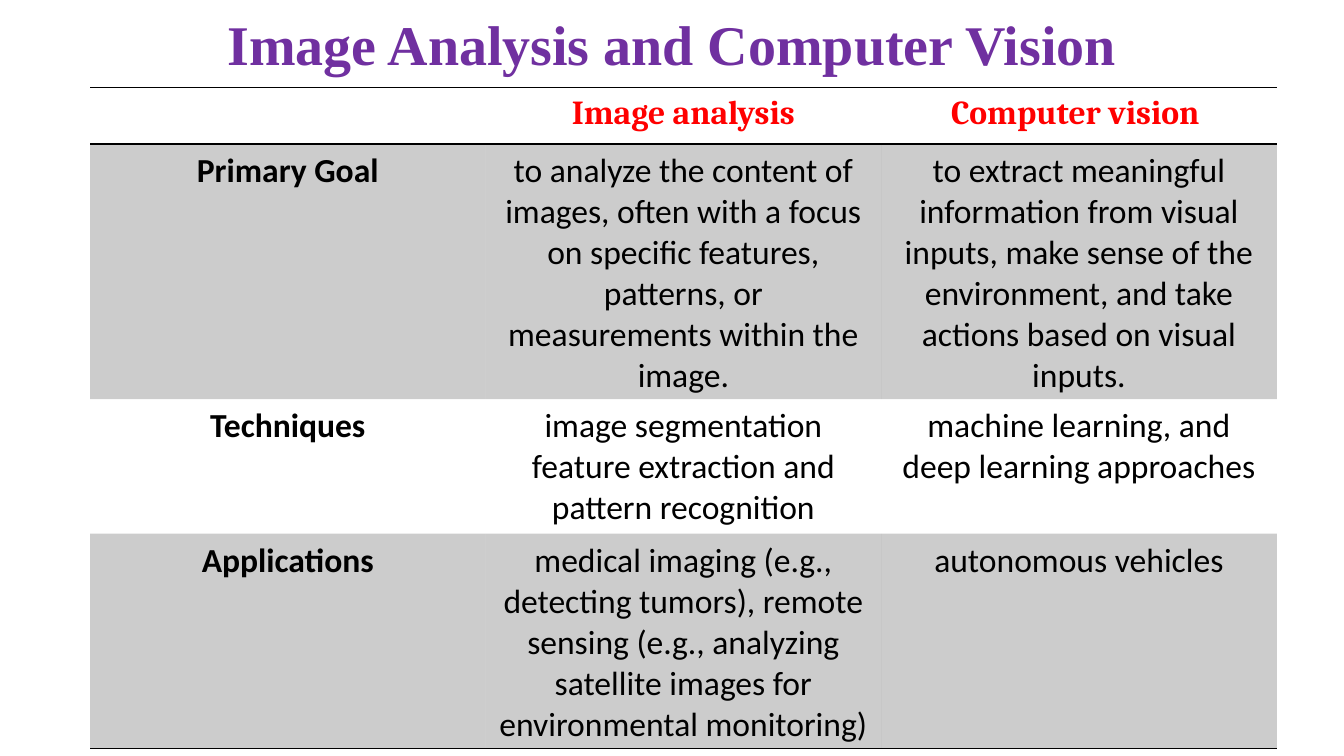
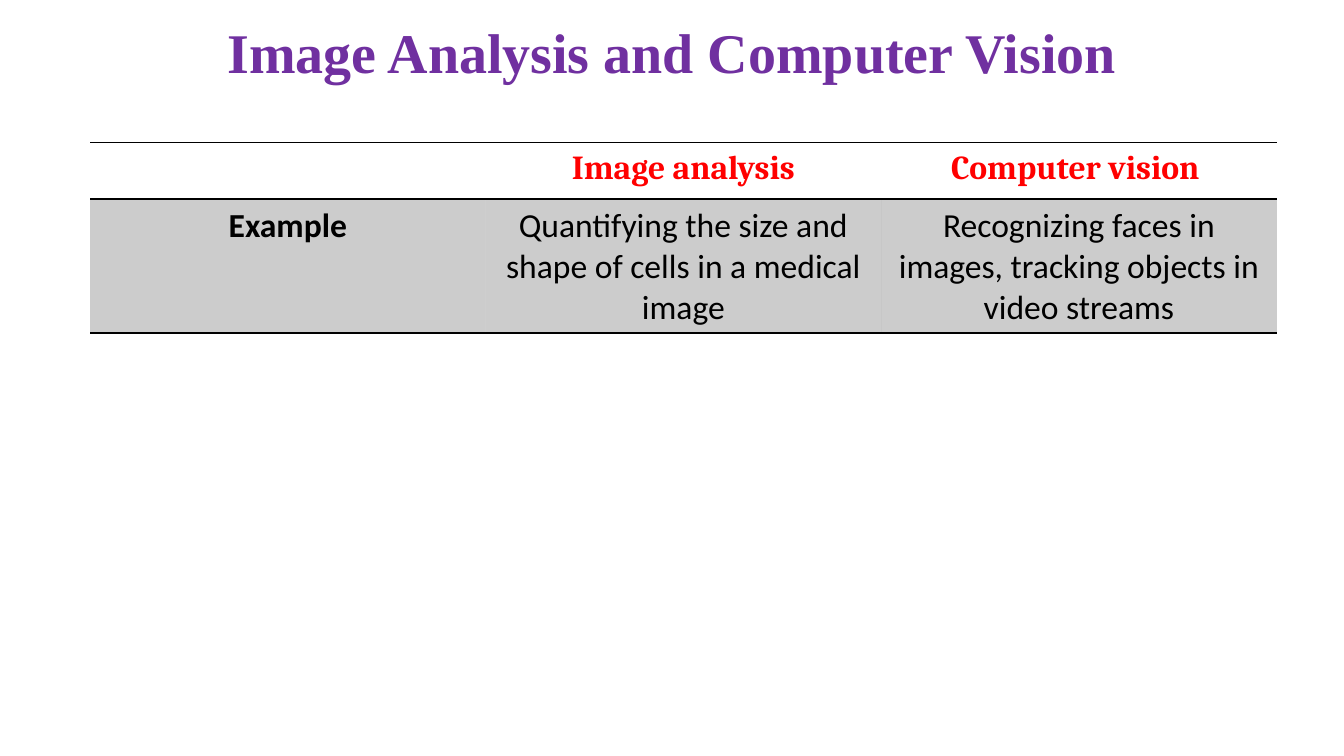
"""Build two slides that compare image analysis with computer vision."""
import pptx
import pptx.dml.color
import pptx.enum.text
import pptx.oxml
import pptx.oxml.ns
import pptx.util

Inches = pptx.util.Inches
Pt = pptx.util.Pt
Color = pptx.dml.color.RGBColor.from_string

TITLE = "Image Analysis and Computer Vision"
HEAD = ("", " Image analysis ", "Computer vision ")
SLIDES = [
    {"title_top": 0.06, "table_top": 0.65, "table_h": 4.92, "rows": [
        ("Primary Goal",
         "to analyze the content of images, often with a focus on specific "
         "features, patterns, or measurements within the image.",
         "to extract meaningful information from visual inputs, make sense of "
         "the environment, and take actions based on visual inputs."),
        ("Techniques",
         "image segmentation feature extraction and pattern recognition",
         "machine learning, and deep learning approaches"),
        ("Applications",
         "medical imaging (e.g., detecting tumors), remote sensing (e.g., "
         "analyzing satellite images for environmental monitoring)",
         "autonomous vehicles"),
    ]},
    {"title_top": 0.12, "table_top": 1.06, "table_h": 1.42, "rows": [
        ("Example",
         "Quantifying the size and shape of cells in a medical image",
         "Recognizing faces in images, tracking objects in video streams"),
    ]},
]

THEME = {
    "title": {"name": "Times New Roman", "size": Pt(30), "bold": True, "color": "7030A0"},
    "head": {"name": "Cambria", "size": Pt(18), "bold": True, "color": "FF0000"},
    "label": {"name": "Calibri", "size": Pt(18), "bold": True, "color": "000000"},
    "body": {"name": "Calibri", "size": Pt(18), "bold": False, "color": "000000"},
    "ink": "000000",
    "band_alpha": 20,
    "rule": Pt(1),
    "table_style": "{2D5ABB26-0587-4C30-8999-92F81FD0307C}",
}
LEFT, WIDTH, ROW_H = 0.67, 8.83, 0.42


def write(frame, text, style):
    para = frame.paragraphs[0]
    para.alignment = pptx.enum.text.PP_ALIGN.CENTER
    if not text:
        return
    run = para.add_run()
    run.text = text
    for key, value in THEME[style].items():
        if key == "color":
            run.font.color.rgb = Color(value)
        else:
            setattr(run.font, key, value)


def shade(cell, band):
    if not band:
        cell.fill.background()
        return
    cell.fill.solid()
    cell.fill.fore_color.rgb = Color(THEME["ink"])
    tint = cell._tc.tcPr.find(".//" + pptx.oxml.ns.qn("a:srgbClr"))
    alpha = pptx.oxml.parse_xml(
        f'<a:alpha {pptx.oxml.ns.nsdecls("a")} val="{THEME["band_alpha"] * 1000}"/>')
    tint.append(alpha)


def rule(cell, sides):
    for spot, side in enumerate(sides):
        line = pptx.oxml.parse_xml(
            f'<a:ln{side} {pptx.oxml.ns.nsdecls("a")} w="{THEME["rule"]}">'
            f'<a:solidFill><a:srgbClr val="{THEME["ink"]}"/></a:solidFill></a:ln{side}>')
        cell._tc.get_or_add_tcPr().insert(spot, line)


def add_title(slide, top):
    box = slide.shapes.add_textbox(Inches(0.5), Inches(top), Inches(9), Inches(0.52))
    frame = box.text_frame
    frame.word_wrap = True
    frame.vertical_anchor = pptx.enum.text.MSO_ANCHOR.MIDDLE
    write(frame, TITLE, "title")


def add_grid(slide, top, height, rows):
    cells = [HEAD, *rows]
    frame = slide.shapes.add_table(len(cells), len(HEAD), Inches(LEFT), Inches(top),
                                   Inches(WIDTH), Inches(height))
    table = frame.table
    table.horz_banding = table.first_row = False
    table._tbl.tblPr.find(pptx.oxml.ns.qn("a:tableStyleId")).text = THEME["table_style"]
    for col in table.columns:
        col.width = Inches(WIDTH / len(HEAD))
    for r, texts in enumerate(cells):
        table.rows[r].height = Inches(ROW_H)
        sides = "TB" if r == 0 else "B" if r == len(rows) else ""
        for c, text in enumerate(texts):
            cell = table.cell(r, c)
            write(cell.text_frame, text, "head" if r == 0 else "body" if c else "label")
            shade(cell, r % 2 == 1)
            rule(cell, sides)
    frame.height = Inches(height)


def main():
    deck = pptx.Presentation()
    deck.slide_width = Inches(10)
    deck.slide_height = deck.slide_width * 9 // 16
    for page in SLIDES:
        slide = deck.slides.add_slide(deck.slide_layouts[6])
        add_title(slide, page["title_top"])
        add_grid(slide, page["table_top"], page["table_h"], page["rows"])
    deck.save("out.pptx")


if __name__ == "__main__":
    main()
